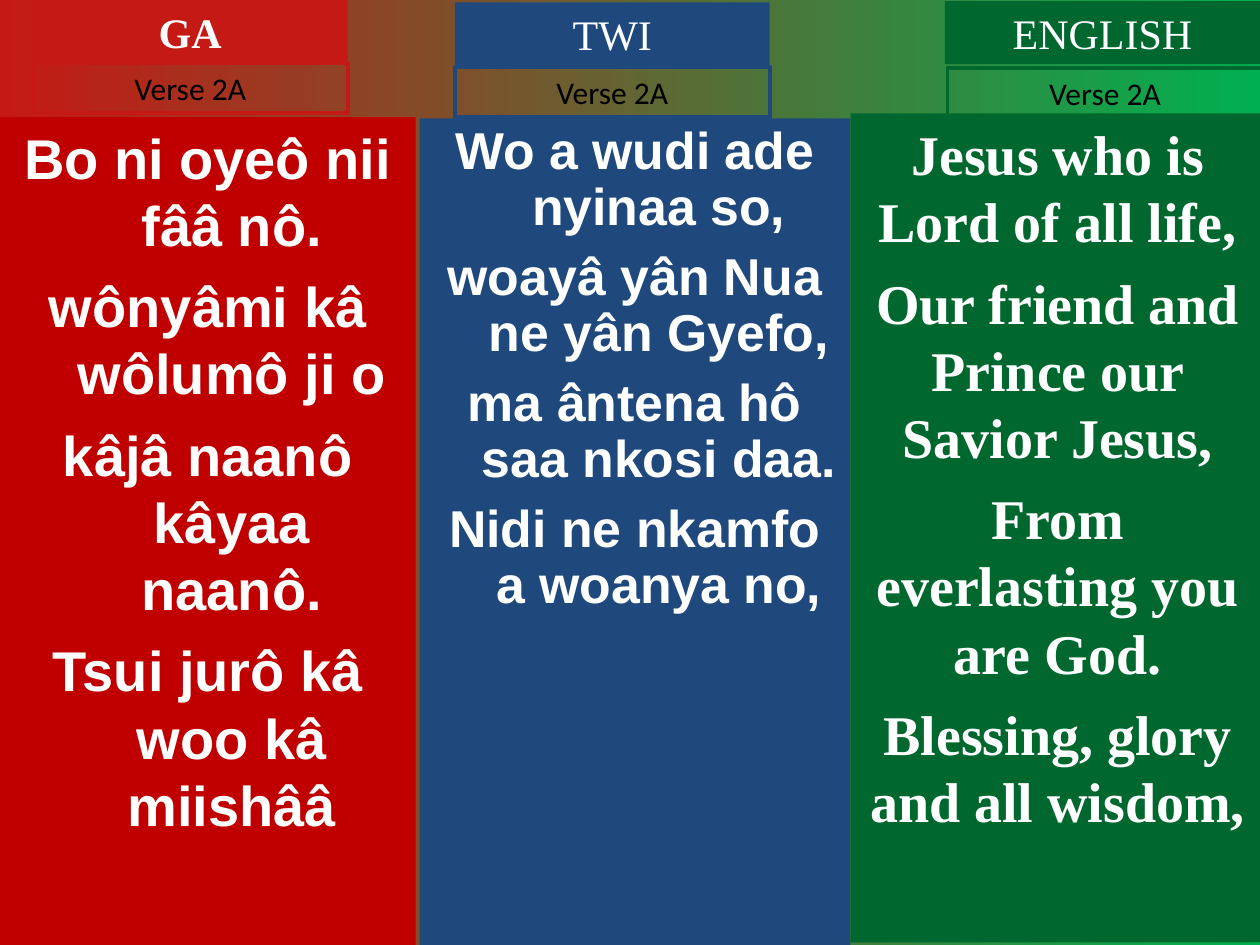
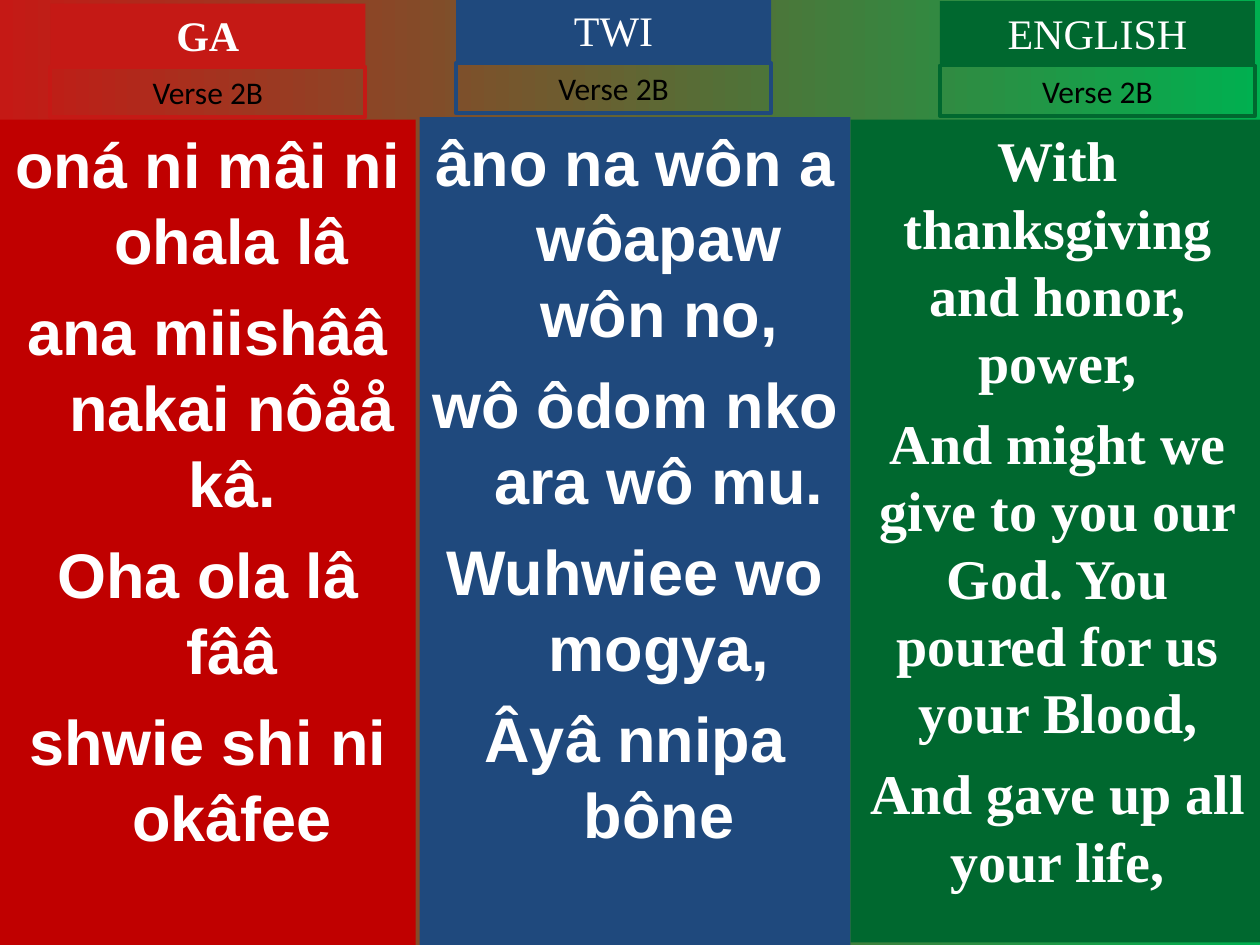
from pptx import Presentation
from pptx.dml.color import RGBColor
from pptx.enum import shapes, text
from pptx.util import Inches, Pt

COLORS = {
    "ga": "C51915", "ga_panel": "C00000", "twi": "1F497D", "english": "00682F",
    "sky_left": "C51915", "sky_right": "00B050", "white": "FFFFFF", "black": "000000",
}

# Shared look of each language column: panel left and width, fonts, hanging indent
LANGUAGES = {
    "GA": dict(color="ga", panel="ga_panel", left=0, width=3.3,
               font="Arial", hang=0.38, bold_title=True),
    "TWI": dict(color="twi", panel="twi", left=3.33, width=3.42,
                font="Arial", hang=0.38, bold_title=False),
    "ENGLISH": dict(color="english", panel="english", left=6.75, width=3.29,
                    font="Times New Roman", hang=0, bold_title=False),
}
TAB_WIDTH, TITLE_HEIGHT, VERSE_HEIGHT = 2.5, 0.5, 0.4

# title and verse: (left, top); panel: (top, bottom); then size, line spacing, lyrics
VERSES = [
    ("Verse 2A", {
        "GA": dict(title=(0.26, 0), verse=(0.26, 0.5), panel=(0.93, 7.5), size=32, lines=[
            "Bo ni oyeô nii fââ nô.",
            "wônyâmi kâ wôlumô ji o",
            "kâjâ naanô kâyaa naanô.",
            "Tsui jurô kâ woo kâ miishââ"]),
        "TWI": dict(title=(3.61, 0.02), verse=(3.61, 0.53), panel=(0.94, 7.5), size=29.6,
                    spacing=0.9, before=8, lines=[
            "Wo a wudi ade nyinaa so,",
            "woayâ yân Nua ne yân Gyefo,",
            "ma ântena hô saa nkosi daa.",
            "Nidi ne nkamfo a woanya no,"]),
        "ENGLISH": dict(title=(7.5, 0.01), verse=(7.52, 0.54), panel=(0.9, 7.48), size=32, lines=[
            "Jesus who is Lord of all life,",
            "Our friend and Prince our Savior Jesus,",
            "From everlasting you are God.",
            "Blessing, glory and all wisdom,"]),
    }),
    ("Verse 2B", {
        "GA": dict(title=(0.4, 0.03), verse=(0.4, 0.53), panel=(0.95, 7.5), size=36, lines=[
            "oná ni mâi ni ohala lâ",
            "ana miishââ nakai nôåå kâ.",
            "Oha ola lâ fââ",
            "shwie shi ni okâfee"]),
        "TWI": dict(title=(3.62, -0.01), verse=(3.62, 0.5), panel=(0.93, 7.5), size=36, lines=[
            "âno na wôn a wôapaw wôn no,",
            "wô ôdom nko ara wô mu.",
            "Wuhwiee wo mogya,",
            "Âyâ nnipa bône"]),
        "ENGLISH": dict(title=(7.46, 0.01), verse=(7.46, 0.52), panel=(0.95, 7.48), size=32, lines=[
            "With thanksgiving and honor, power,",
            "And might we give to you our God. You poured for us your Blood,",
            "And gave up all your life,"]),
    }),
]


def rgb(name):
    return RGBColor.from_string(COLORS[name])


def add_box(s, left, top, width, height, fill=None, line=None):
    sp = s.shapes.add_shape(shapes.MSO_SHAPE.RECTANGLE, Inches(left), Inches(top),
                            Inches(width), Inches(height))
    sp.shadow.inherit = False
    if fill:
        sp.fill.solid()
        sp.fill.fore_color.rgb = rgb(fill)
    else:
        sp.fill.background()
    if line:
        sp.line.color.rgb = rgb(line)
        sp.line.width = Pt(2.25)
    else:
        sp.line.fill.background()
    return sp


def write(sp, lines, font, size, color, bold=False, hang=0, spacing=None, before=0):
    """Fill a box with centred paragraphs, indenting wrapped lines by hang."""
    tf = sp.text_frame
    tf.word_wrap = True
    tf.vertical_anchor = text.MSO_ANCHOR.TOP
    for i, line in enumerate(lines):
        p = tf.add_paragraph() if i else tf.paragraphs[0]
        if hang:
            pPr = p._p.get_or_add_pPr()
            pPr.set("marL", str(Inches(hang)))
            pPr.set("indent", str(-Inches(hang)))
        p.alignment = text.PP_ALIGN.CENTER
        p.line_spacing = spacing
        p.space_before = Pt(before if i else 0)
        r = p.add_run()
        r.text = line
        r.font.name, r.font.size, r.font.bold = font, Pt(size), bold
        r.font.color.rgb = rgb(color)


def add_column(s, name, verse, part):
    look = LANGUAGES[name]
    top, bottom = part["panel"]
    panel = add_box(s, look["left"], top, look["width"], bottom - top, fill=look["panel"])
    write(panel, part["lines"], look["font"], part["size"], "white", True, look["hang"],
          part.get("spacing"), part.get("before", part["size"] / 4))

    title = add_box(s, *part["title"], TAB_WIDTH, TITLE_HEIGHT, fill=look["color"])
    write(title, [name], "Times New Roman", 24, "white", look["bold_title"])
    label = add_box(s, *part["verse"], TAB_WIDTH, VERSE_HEIGHT, line=look["color"])
    write(label, [verse], "Calibri", 18, "black")
    for sp in (title, label):
        sp.text_frame.auto_size = text.MSO_AUTO_SIZE.SHAPE_TO_FIT_TEXT


def paint_background(s):
    fill = s.background.fill
    fill.gradient()
    fill.gradient_angle = 0
    for stop, color in zip(fill.gradient_stops, ("sky_left", "sky_right")):
        stop.color.rgb = rgb(color)


def main():
    prs = Presentation()
    prs.slide_width, prs.slide_height = Inches(10), Inches(7.5)
    for verse, columns in VERSES:
        s = prs.slides.add_slide(prs.slide_layouts[6])
        paint_background(s)
        for name, part in columns.items():
            add_column(s, name, verse, part)
    prs.save("out.pptx")


if __name__ == "__main__":
    main()
